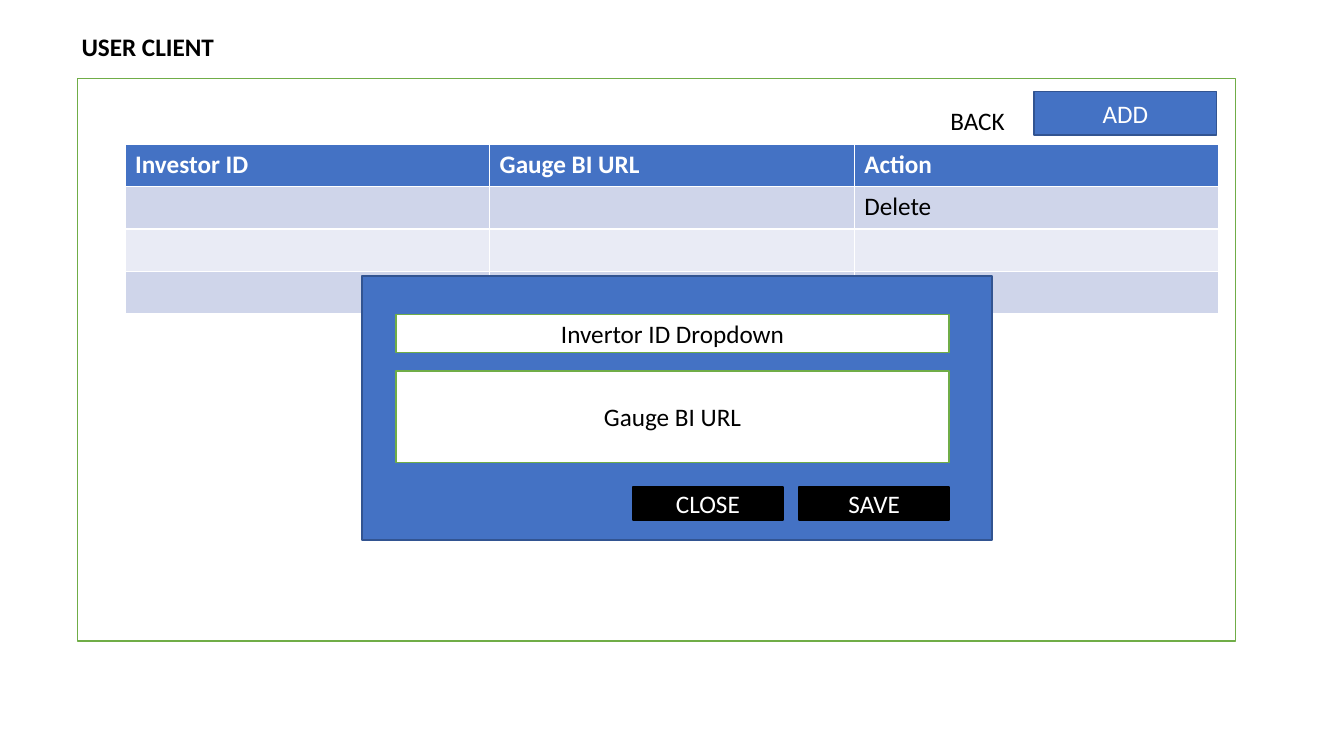
import pptx
import pptx.dml.color
import pptx.enum.shapes
import pptx.enum.text
import pptx.util
from pptx.dml.color import RGBColor
from pptx.util import Cm

WHITE = RGBColor(0xFF, 0xFF, 0xFF)
BLACK = RGBColor(0x00, 0x00, 0x00)
BLUE = RGBColor(0x44, 0x72, 0xC4)
DARK_BLUE = RGBColor(0x32, 0x54, 0x91)
GREEN = RGBColor(0x70, 0xAD, 0x47)
BAND_DARK = RGBColor(0xCF, 0xD5, 0xEA)
BAND_LIGHT = RGBColor(0xE9, 0xEB, 0xF5)

URL_LABEL = "Gauge BI URL"
TABLE_ROWS = [
    ["Investor ID", URL_LABEL, "Action"],
    ["", "", "Delete"],
    ["", "", ""],
    ["", "", ""],
]


def style_text(para, color, bold=False):
    para.font.name = "Calibri"
    para.font.size = pptx.util.Pt(18)
    para.font.bold = bold
    para.font.color.rgb = color


def add_box(page, left, top, width, height, fill, line, text="", color=WHITE):
    box = page.shapes.add_shape(
        pptx.enum.shapes.MSO_SHAPE.RECTANGLE,
        Cm(left), Cm(top), Cm(width), Cm(height))
    box.shadow.inherit = False
    box.fill.solid()
    box.fill.fore_color.rgb = fill
    box.line.color.rgb = line
    box.line.width = pptx.util.Pt(1)
    if text:
        box.text_frame.text = text
        box.text_frame.vertical_anchor = pptx.enum.text.MSO_ANCHOR.MIDDLE
        para = box.text_frame.paragraphs[0]
        para.alignment = pptx.enum.text.PP_ALIGN.CENTER
        style_text(para, color)


def add_investor_table(page, left, top, column_width, row_height):
    row_count, column_count = len(TABLE_ROWS), len(TABLE_ROWS[0])
    table = page.shapes.add_table(
        row_count, column_count, Cm(left), Cm(top),
        Cm(column_width * column_count), Cm(row_height * row_count)).table
    for column in table.columns:
        column.width = Cm(column_width)
    for index, texts in enumerate(TABLE_ROWS):
        table.rows[index].height = Cm(row_height)
        is_header = index == 0
        band = BAND_DARK if index % 2 else BAND_LIGHT
        for cell, text in zip(table.rows[index].cells, texts):
            cell.fill.solid()
            cell.fill.fore_color.rgb = BLUE if is_header else band
            cell.text = text
            style_text(cell.text_frame.paragraphs[0],
                       WHITE if is_header else BLACK, is_header)


def set_title(page, text):
    title = page.shapes.title
    title.left, title.top = Cm(1.8), Cm(0.66)
    title.width, title.height = Cm(9.65), Cm(1.02)
    frame = title.text_frame
    frame.text = text
    frame.auto_size = pptx.enum.text.MSO_AUTO_SIZE.NONE
    frame.vertical_anchor = pptx.enum.text.MSO_ANCHOR.TOP
    frame.paragraphs[0].alignment = pptx.enum.text.PP_ALIGN.LEFT
    style_text(frame.paragraphs[0], BLACK, bold=True)


def add_label(page, left, top, width, height, text):
    label = page.shapes.add_textbox(Cm(left), Cm(top), Cm(width), Cm(height))
    label.text_frame.text = text
    style_text(label.text_frame.paragraphs[0], BLACK)


def add_dialog(page):
    add_box(page, 9.12, 6.96, 15.88, 6.65, BLUE, DARK_BLUE)
    for top, height, text in [(7.92, 0.97, "Invertor ID Dropdown"),
                              (9.35, 2.31, URL_LABEL)]:
        add_box(page, 9.98, top, 13.94, height, WHITE, GREEN, text, BLACK)
    for left, text in [(15.95, "CLOSE"), (20.14, "SAVE")]:
        add_box(page, left, 12.27, 3.78, 0.84, BLACK, BLACK, text)


def main():
    deck = pptx.Presentation()
    deck.slide_width, deck.slide_height = Cm(33.87), Cm(19.05)
    page = deck.slides.add_slide(deck.slide_layouts.get_by_name("Title Only"))
    set_title(page, "USER CLIENT")
    add_box(page, 1.96, 1.98, 29.18, 14.17, WHITE, GREEN)
    add_investor_table(page, 3.15, 3.63, 9.19, 1.07)
    add_box(page, 26.06, 2.31, 4.6, 1.09, BLUE, DARK_BLUE, "ADD")
    add_label(page, 23.7, 2.54, 1.91, 1.02, "BACK")
    add_dialog(page)
    deck.save("out.pptx")


if __name__ == "__main__":
    main()
